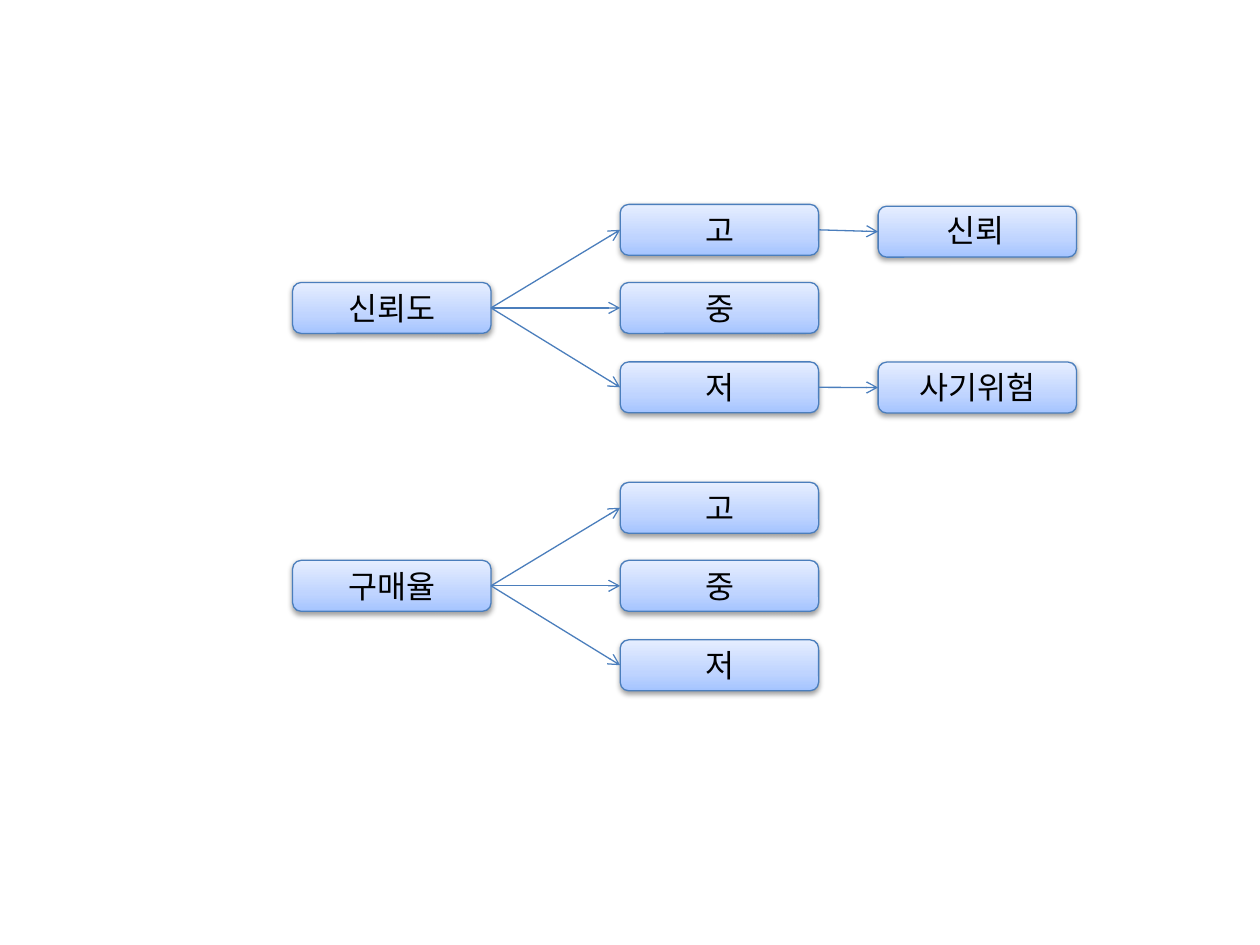
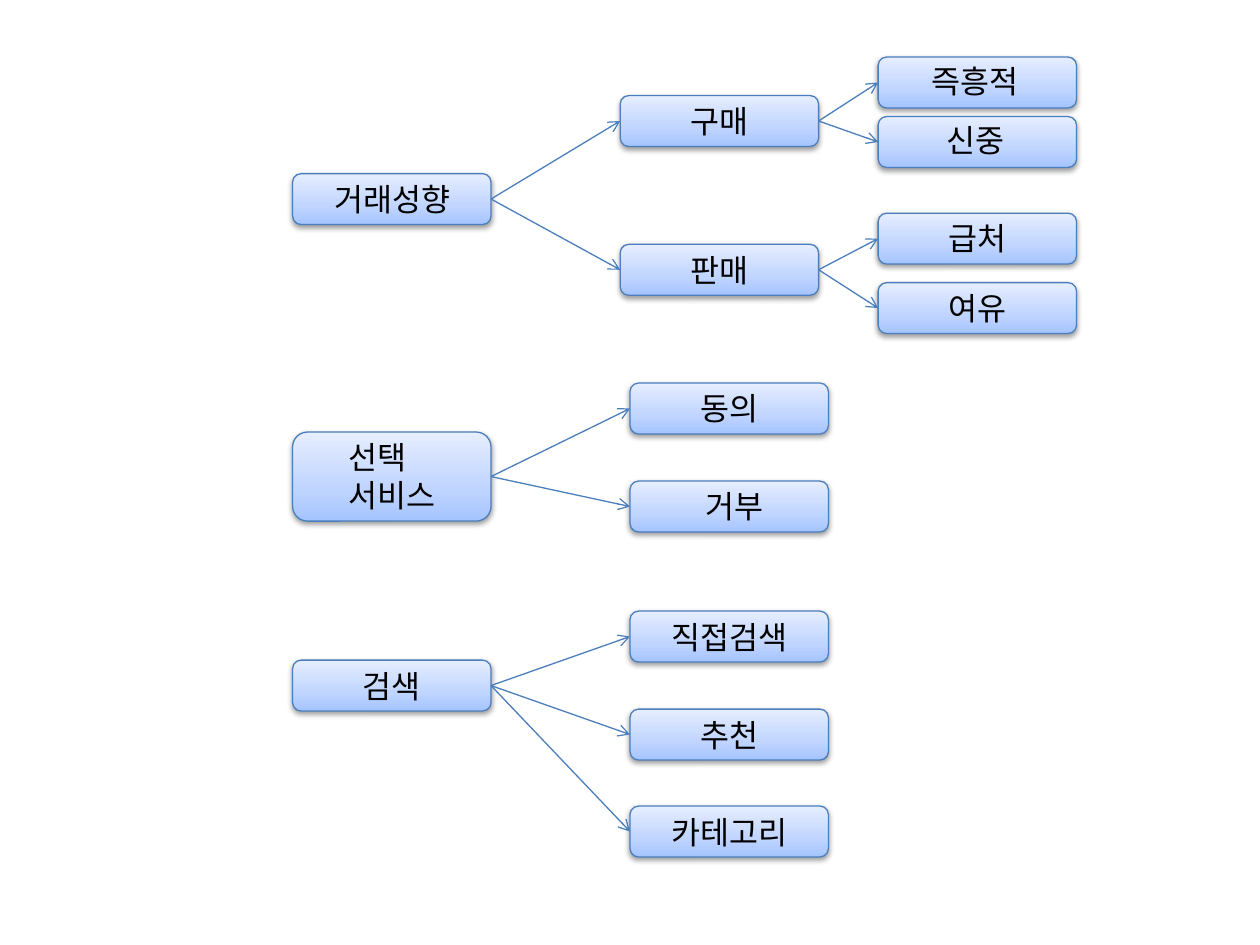
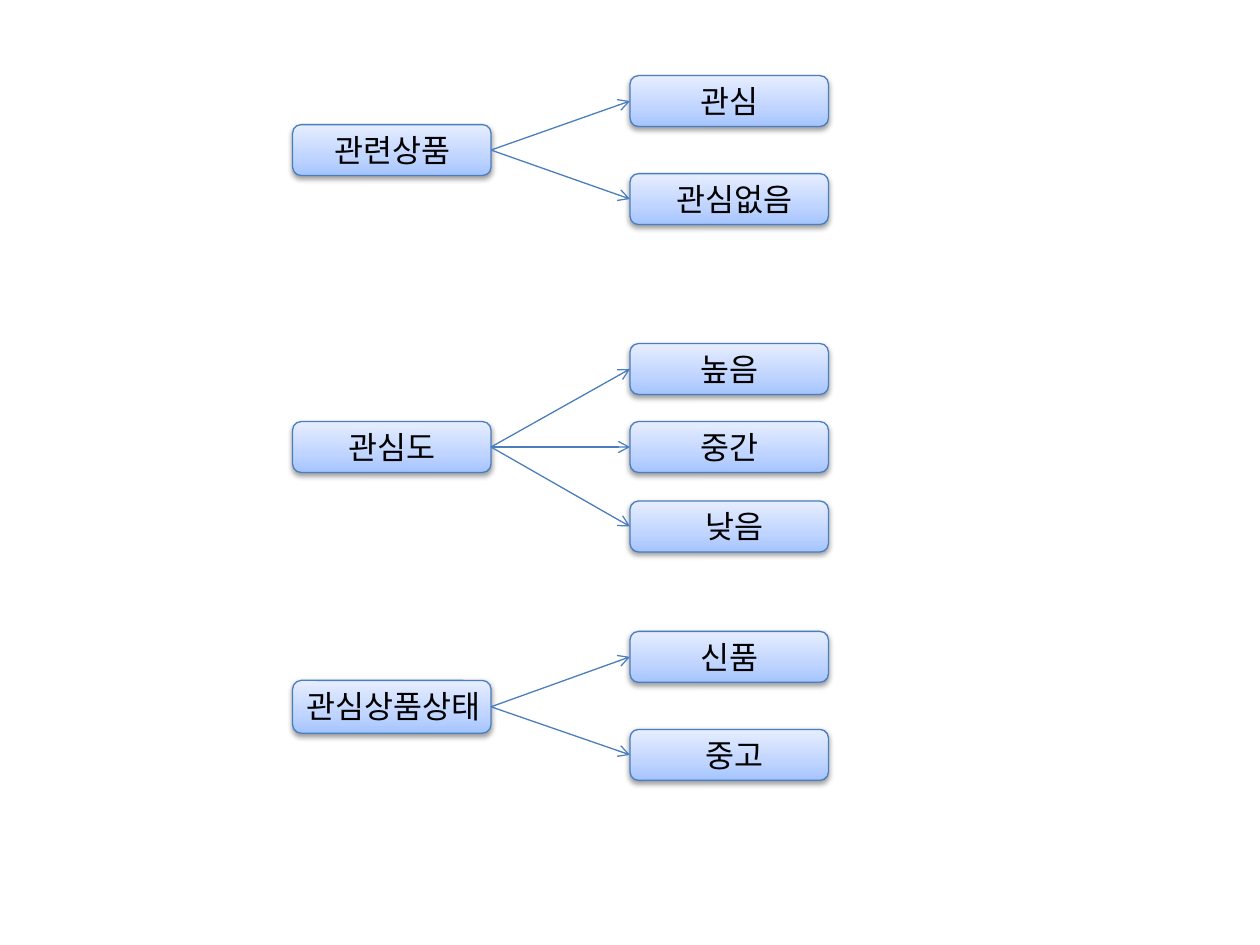
"""Build three slides of decision trees for customer attributes."""
from dataclasses import dataclass, field

from lxml import etree
from pptx import Presentation
from pptx import util as u
from pptx.dml import color
from pptx.enum import shapes, text
from pptx.oxml import ns


@dataclass(frozen=True)
class Theme:
    """Colours, type and line sizes."""
    font: str = "Noto Sans CJK KR"
    size: float = 18
    ink: str = "000000"
    edge: str = "4B7EBC"
    line: float = 0.75
    gradient: tuple = ((0, "A4C4FF"), (35, "BFD4FF"), (100, "E6EEFF"))
    shadow_blur: float = 3.15
    shadow_distance: float = 1.57
    shadow_opacity: int = 38


@dataclass(frozen=True)
class Label:
    """Place of a caption relative to its box."""
    left: float = 11.5
    top: float = 0
    width: float = 90.7
    hanging: float = 0


@dataclass
class Node:
    """A captioned box and the boxes it leads to."""
    caption: str
    left: float
    top: float = 0
    label: Label = Label()
    height: float = 29.1
    children: list = field(default_factory=list)


ROOT, NEAR, MIDDLE, LAST = 167.2, 354.4, 360, 501.8
BOX_WIDTH = 113.4
WIDE = Label(left=5.8, width=108)
RAISED = Label(left=10.1, top=-0.9)
FULL = Label(left=-4.4, width=124)
WRAPPED = Label(left=3.2, hanging=16.6)
INSIDE = None
LEVELS = (0, 44.6, 90)
CHOICES = (0, 56, 111.4)


def fan(root, top, drop, steps, children):
    """Place a root and its children below a common top."""
    root.top = top + drop
    for child, step in zip(children, steps):
        child.top = top + step
    root.children = children
    return root


def levels(root, top, children):
    """Place three levels beside their root."""
    return fan(root, top, LEVELS[1], LEVELS, children)


def choices(root, top, children):
    """Place evenly spaced choices beside their root."""
    return fan(root, top, CHOICES[1] / 2, CHOICES, children)


def element(parent, tag, **attributes):
    """Append a drawing element with the given attributes."""
    values = {key: str(value) for key, value in attributes.items()}
    return etree.SubElement(parent, ns.qn(tag), values)


class Diagram:
    """Holds the style and the current slide."""

    def __init__(self, theme):
        self.theme = theme
        self.deck = Presentation()
        self.deck.slide_width, self.deck.slide_height = u.Pt(720), u.Pt(540)
        self.page = None

    def new_page(self):
        """Start a blank slide."""
        self.page = self.deck.slides.add_slide(self.deck.slide_layouts[6])

    def outline(self, item):
        """Give a shape or connector the common line."""
        item.line.color.rgb = color.RGBColor.from_string(self.theme.edge)
        item.line.width = u.Pt(self.theme.line)

    def caption(self, shape, words):
        """Set centred words in the theme's type."""
        frame = shape.text_frame
        frame.text = words
        frame.word_wrap = True
        para = frame.paragraphs[0]
        para.alignment = text.PP_ALIGN.CENTER
        for span in para.runs:
            span.font.name = self.theme.font
            span.font.size = u.Pt(self.theme.size)
            span.font.color.rgb = color.RGBColor.from_string(self.theme.ink)
            element(span.font._element, "a:ea", typeface=self.theme.font)
        return para

    def box(self, node):
        """Draw a rounded box with gradient and soft shadow."""
        box = self.page.shapes.add_shape(
            shapes.MSO_SHAPE.ROUNDED_RECTANGLE, u.Pt(node.left), u.Pt(node.top),
            u.Pt(BOX_WIDTH), u.Pt(node.height))
        box.fill.gradient()
        box.fill.gradient_angle = 90
        properties = box.element.spPr
        stops = properties.find(".//" + ns.qn("a:gsLst"))
        stops.clear()
        for position, tint in self.theme.gradient:
            stop = element(stops, "a:gs", pos=position * 1000)
            element(stop, "a:srgbClr", val=tint)
        self.outline(box)
        box.shadow.inherit = False
        shadow = element(
            properties.find(ns.qn("a:effectLst")), "a:outerShdw",
            blurRad=u.Pt(self.theme.shadow_blur),
            dist=u.Pt(self.theme.shadow_distance), dir=5400000, rotWithShape=0)
        shade = element(shadow, "a:srgbClr", val=self.theme.ink)
        element(shade, "a:alpha", val=self.theme.shadow_opacity * 1000)
        return box

    def label(self, node):
        """Draw a caption over its box."""
        place = node.label
        box = self.page.shapes.add_textbox(
            u.Pt(node.left + place.left), u.Pt(node.top + place.top),
            u.Pt(place.width), u.Pt(node.height))
        para = self.caption(box, node.caption)
        box.text_frame.auto_size = text.MSO_AUTO_SIZE.SHAPE_TO_FIT_TEXT
        if place.hanging:
            properties = para._p.get_or_add_pPr()
            properties.set("marL", str(u.Pt(place.hanging)))
            properties.set("indent", str(-u.Pt(place.hanging)))

    def arrow(self, start, end):
        """Join the right side of one box to the left of another."""
        arrow = self.page.shapes.add_connector(
            shapes.MSO_CONNECTOR.STRAIGHT, 0, 0, 0, 0)
        arrow.begin_connect(start, 3)
        arrow.end_connect(end, 1)
        self.outline(arrow)
        properties = arrow._element.spPr
        element(properties.find(ns.qn("a:ln")), "a:tailEnd", type="arrow")
        element(properties, "a:effectLst")

    def tree(self, node):
        """Draw a node, its descendants and the arrows between them."""
        box = self.box(node)
        if node.label is INSIDE:
            self.caption(box, node.caption)
            box.text_frame.vertical_anchor = text.MSO_ANCHOR.MIDDLE
        else:
            self.label(node)
        for child in node.children:
            self.arrow(box, self.tree(child))
        return box


def grades(trust="", risk=""):
    """Make high, middle and low nodes with optional outcomes."""
    nodes = [Node(caption, NEAR) for caption in ("고", "중", "저")]
    if trust:
        nodes[0].children = [Node(trust, LAST, 117.8, RAISED)]
    if risk:
        nodes[2].children = [Node(risk, LAST, 206.9)]
    return nodes


def main():
    """Draw the three slides and save them."""
    pages = [
        [
            levels(Node("신뢰도", ROOT), 116.8, grades("신뢰", "사기위험")),
            levels(Node("구매율", ROOT), 275.6, grades()),
        ],
        [
            Node("거래성향", ROOT, 99.2, children=[
                Node("구매", NEAR, 54.6, children=[
                    Node("즉흥적", LAST, 32.6, RAISED),
                    Node("신중", LAST, 66.6, RAISED)]),
                Node("판매", NEAR, 139.6, children=[
                    Node("급처", LAST, 121.8),
                    Node("여유", LAST, 161.5)])]),
            choices(Node("선택 서비스", ROOT, label=WRAPPED, height=50.9), 218.9, [
                Node("동의", MIDDLE), Node("거부", MIDDLE, label=WIDE)]),
            choices(Node("검색", ROOT, label=INSIDE), 349.2, [
                Node(caption, MIDDLE, label=INSIDE)
                for caption in ("직접검색", "추천", "카테고리")]),
        ],
        [
            choices(Node("관련상품", ROOT), 43.2, [
                Node("관심", MIDDLE), Node("관심없음", MIDDLE, label=WIDE)]),
            levels(Node("관심도", ROOT), 196.3, [
                Node("높음", MIDDLE), Node("중간", MIDDLE),
                Node("낮음", MIDDLE, label=WIDE)]),
            choices(Node("관심상품상태", ROOT, label=FULL, height=30.2), 360.8, [
                Node("신품", MIDDLE), Node("중고", MIDDLE, label=WIDE)]),
        ],
    ]
    diagram = Diagram(Theme())
    for trees in pages:
        diagram.new_page()
        for root in trees:
            diagram.tree(root)
    diagram.deck.save("out.pptx")


main()
